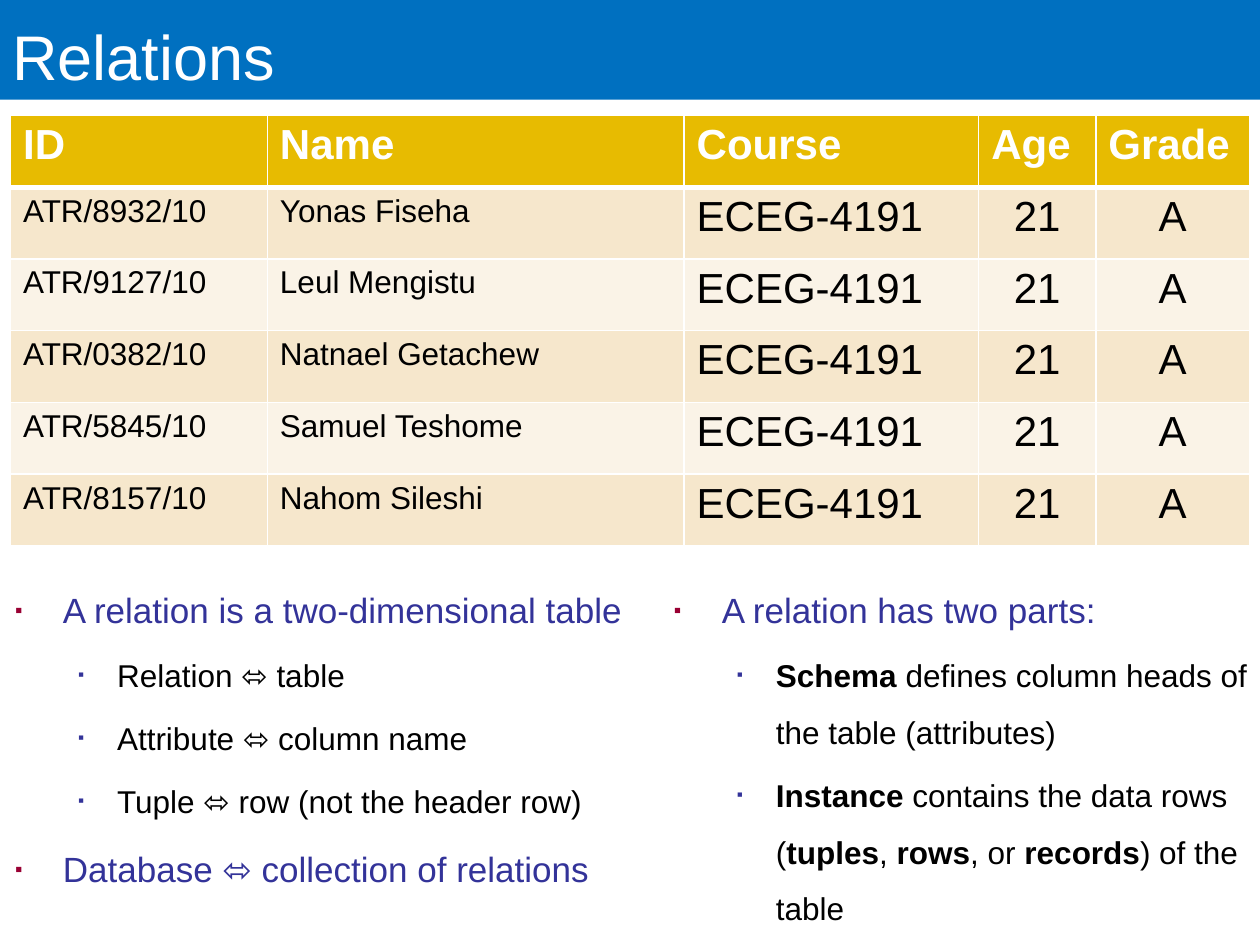
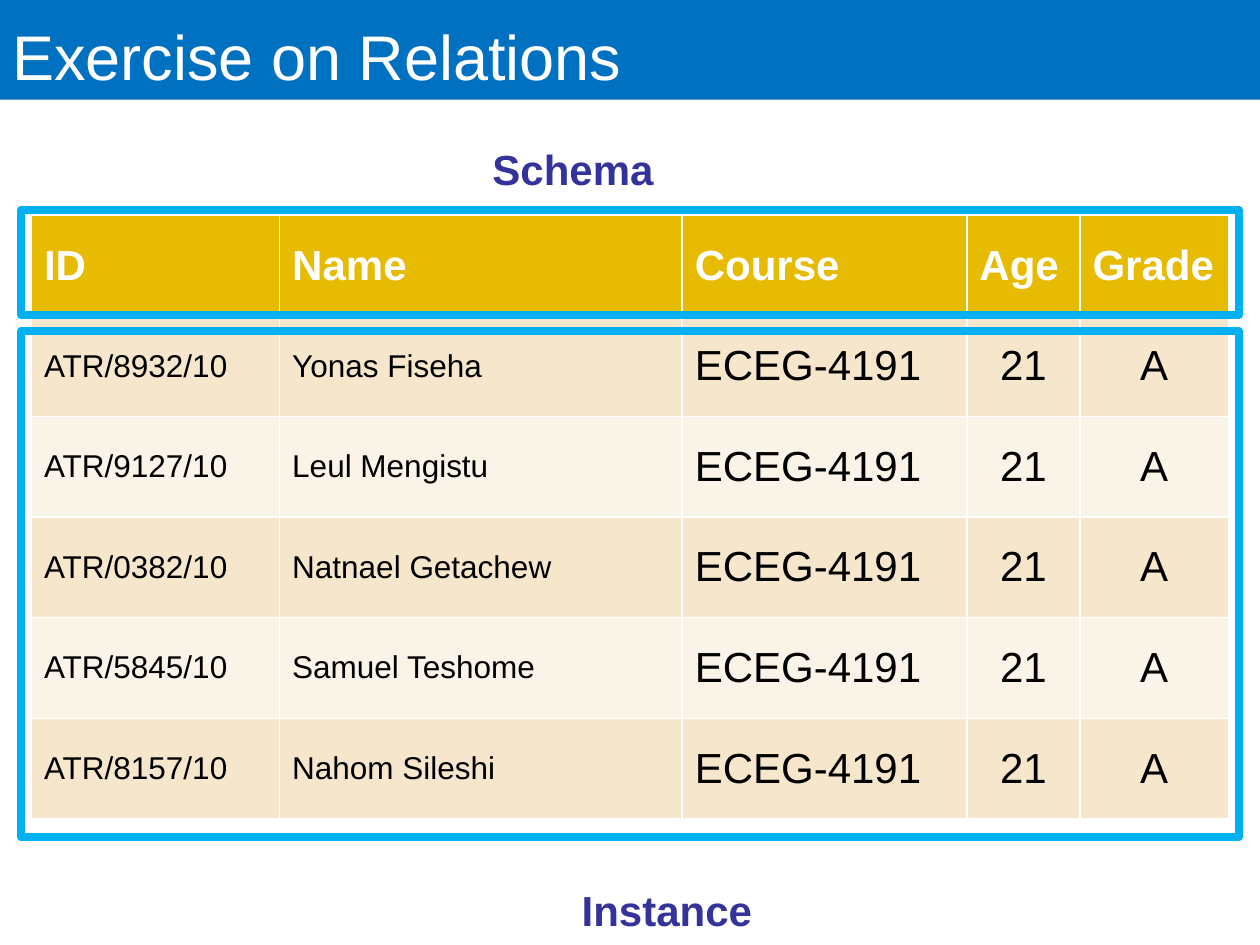
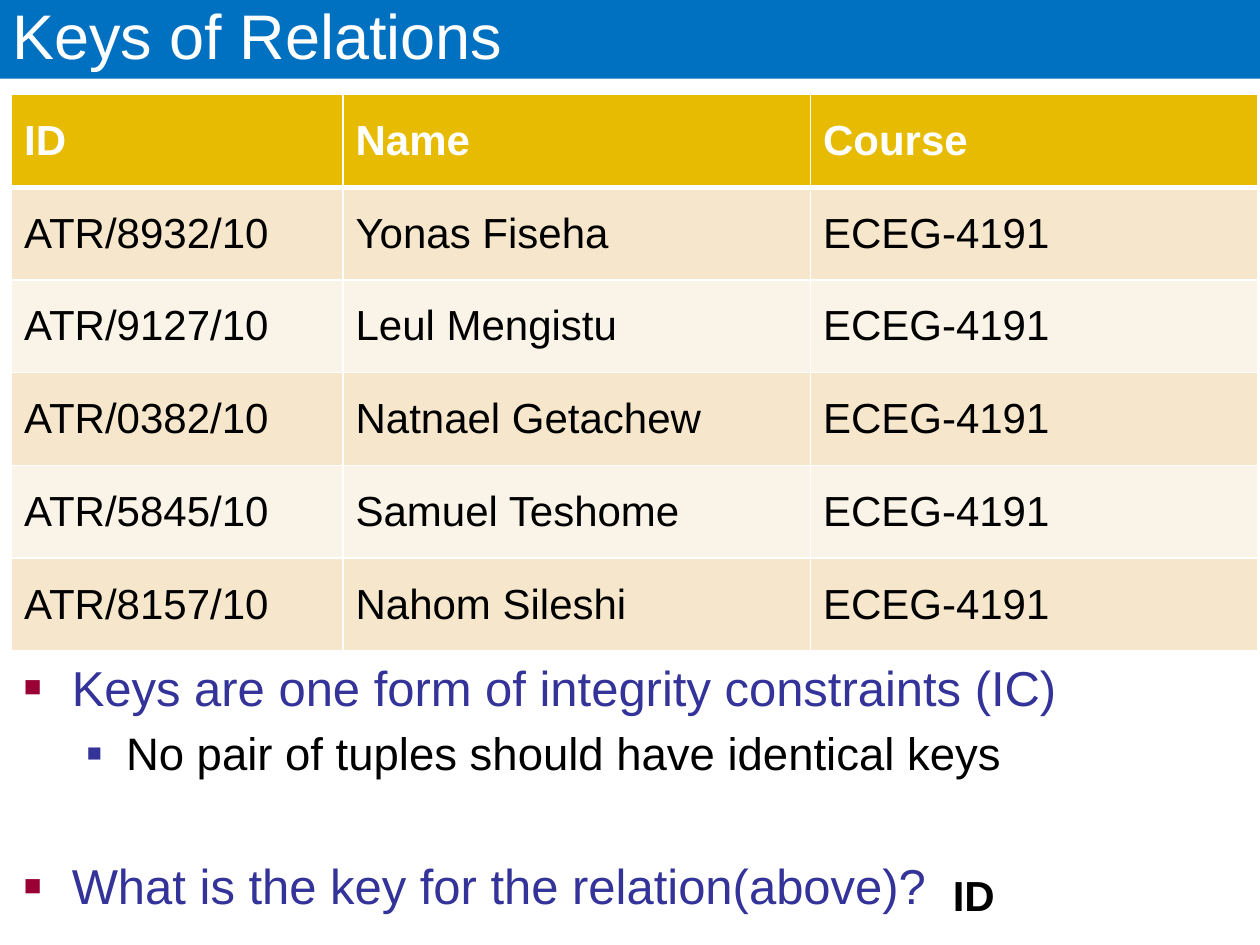
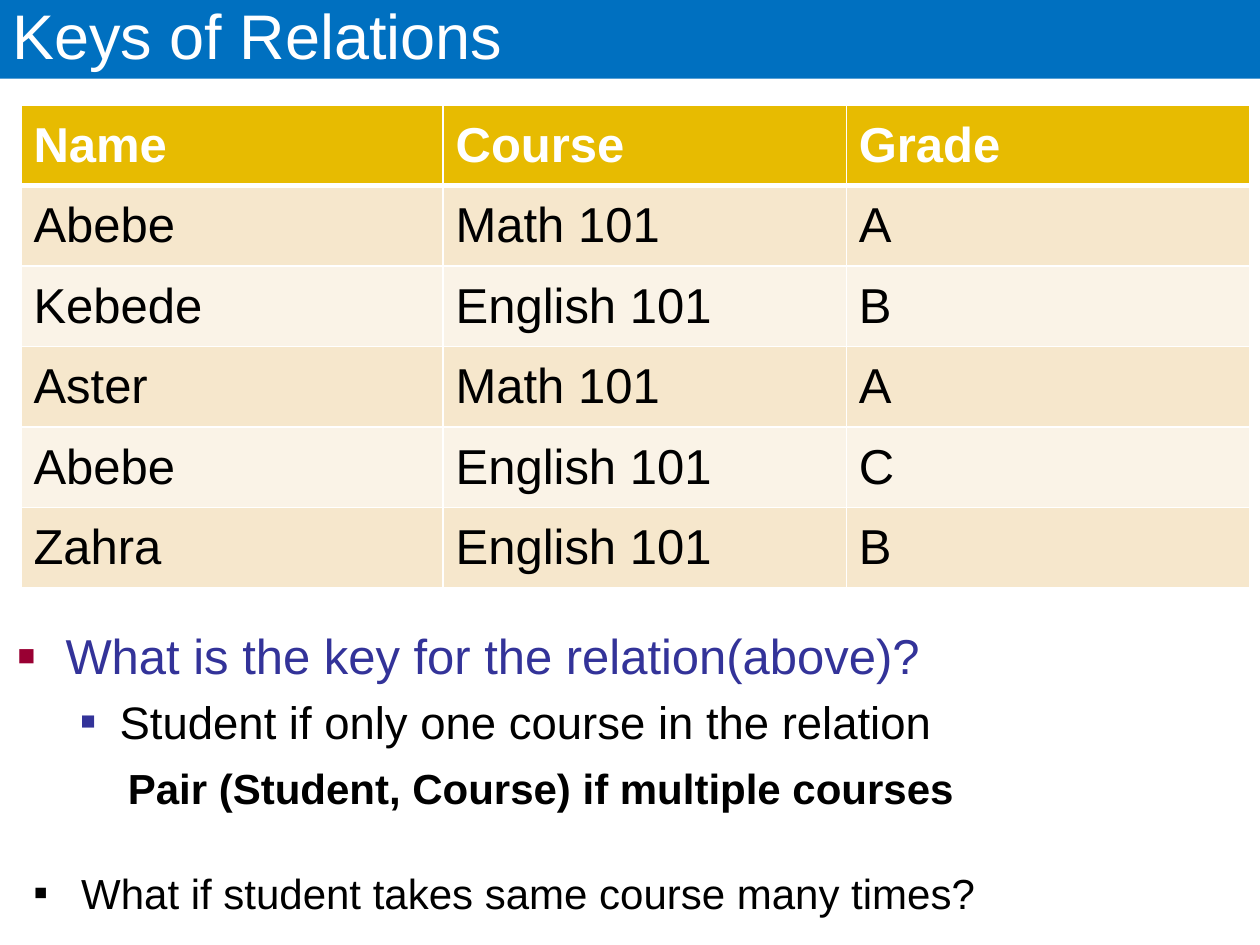
from dataclasses import dataclass

from lxml import etree
from pptx import Presentation
from pptx import util as u
from pptx.dml import color
from pptx.enum import shapes, text
from pptx.oxml import ns

COLUMNS, ROWS = 120, 90  # grid that every position and size is given in
CENTER = text.PP_ALIGN.CENTER
MIDDLE, TOP = text.MSO_ANCHOR.MIDDLE, text.MSO_ANCHOR.TOP


@dataclass(frozen=True)
class Theme:
    font: str = "Arial"
    white: str = "FFFFFF"
    ink: str = "000000"
    band: str = "0070C0"
    header: str = "E7BB01"
    stripes: tuple = ("F6E7CC", "FAF3E7")
    topic: str = "333399"
    topic_bullet: str = "990033"
    frame: str = "00B0F0"
    title_size: int = 36
    large: int = 28
    detail: int = 26
    medium: int = 24
    small: int = 20
    tiny: int = 18


THEME = Theme()


def rgb(value):
    return color.RGBColor.from_string(value)


def add_child(parent, tag, **attributes):
    child = etree.SubElement(parent, ns.qn(tag))
    for name, value in attributes.items():
        child.set(name, str(value))
    return child


def write(frame, content, size=THEME.medium, ink=THEME.ink, bold=False, align=None,
          level=0, margin=0, hanging=0, line=None, before=0,
          bullet=None, bullet_ink=None, bullet_size=100):
    """Add one paragraph; parts between ** marks switch bold on and off."""
    paragraph = frame.add_paragraph() if frame.text else frame.paragraphs[0]
    paragraph.level = level
    paragraph.alignment = align
    paragraph.line_spacing = line
    paragraph.space_before = u.Pt(before)
    for index, part in enumerate(content.split("**")):
        if part:
            run = paragraph.add_run()
            run.text = part
            run.font.name, run.font.size = THEME.font, u.Pt(size)
            run.font.bold = bold or index % 2 == 1
            run.font.color.rgb = rgb(ink)

    # Indents and bullet
    properties = paragraph._p.get_or_add_pPr()
    properties.set("marL", str(u.Inches(margin)))
    properties.set("indent", str(u.Inches(-hanging)))
    if bullet:
        add_child(add_child(properties, "a:buClr"), "a:srgbClr", val=bullet_ink or ink)
        add_child(properties, "a:buSzPct", val=bullet_size * 1000)
        add_child(properties, "a:buFont", typeface=THEME.font)
        add_child(properties, "a:buChar", char=bullet)
    else:
        add_child(properties, "a:buNone")


class Deck:
    def __init__(self, theme):
        self.theme = theme
        self.presentation = Presentation()
        self.presentation.slide_width = u.Inches(10)
        self.presentation.slide_height = u.Inches(7.5)
        self.slide = None

    def place(self, left, top, width, height):
        column = self.presentation.slide_width / COLUMNS
        row = self.presentation.slide_height / ROWS
        return [round(n) for n in (left * column, top * row, width * column, height * row)]

    def rectangle(self, area, fill=None, line=None):
        box = self.slide.shapes.add_shape(shapes.MSO_SHAPE.RECTANGLE, *self.place(*area))
        box.shadow.inherit = False
        if fill:
            box.fill.solid()
            box.fill.fore_color.rgb = rgb(fill)
        else:
            box.fill.background()
        if line:
            box.line.color.rgb, box.line.width = rgb(line), u.Pt(4.5)
        else:
            box.line.fill.background()
        return box

    def new_slide(self, title, band_rows):
        self.slide = self.presentation.slides.add_slide(self.presentation.slide_layouts[6])
        band = self.rectangle((0, 0, COLUMNS, band_rows), fill=self.theme.band)
        band.text_frame.vertical_anchor = text.MSO_ANCHOR.BOTTOM
        write(band.text_frame, title, size=self.theme.title_size, ink=self.theme.white,
              align=text.PP_ALIGN.LEFT)

    def text_box(self, area, flush_right=True, wrap=True):
        frame = self.slide.shapes.add_textbox(*self.place(*area)).text_frame
        frame.word_wrap = wrap
        if flush_right:
            frame.margin_right = 0
        return frame

    def note(self, area, content, wrap=True, **style):
        write(self.text_box(area, flush_right=False, wrap=wrap), content, **style)

    def label(self, area, content):
        write(self.text_box(area), content, ink=self.theme.topic, bold=True,
              margin=0.06, line=1.5, before=4.8)

    def outline(self, area, points, sizes, bullet, line=None):
        """Write (level, content[, extra gap]) points as a two-level bullet list."""
        frame = self.text_box(area)
        levels = (
            dict(ink=self.theme.topic, bullet_ink=self.theme.topic_bullet,
                 bullet_size=60, margin=0.38, hanging=0.38),
            dict(ink=self.theme.ink, bullet_ink=self.theme.topic,
                 bullet_size=55, margin=0.81, hanging=0.31),
        )
        for level, content, *gap in points:
            write(frame, content, size=sizes[level], level=level, bullet=bullet, line=line,
                  before=0.2 * sizes[level] + sum(gap), **levels[level])

    def borders(self, cell, top, bottom):
        properties = cell._tc.get_or_add_tcPr()
        sides = (("L", 1), ("R", 1), ("T", top), ("B", bottom))
        for index, (side, points) in enumerate(sides):
            edge = add_child(properties, f"a:ln{side}", w=u.Pt(points))
            add_child(add_child(edge, "a:solidFill"), "a:srgbClr", val=self.theme.white)
            properties.insert(index, edge)

    def table(self, area, records, widths, sizes, anchor=MIDDLE, centered=(),
              header_size=THEME.medium):
        left, top, width, height = self.place(*area)
        grid = self.slide.shapes.add_table(
            len(records), len(widths), left, top, width, height).table
        grid.horz_banding = False
        for column, share in zip(grid.columns, widths):
            column.width = round(width * share / sum(widths))
        for r, record in enumerate(records):
            grid.rows[r].height = round(height / len(records))
            for c, value in enumerate(record):
                cell = grid.cell(r, c)
                cell.vertical_anchor = anchor
                cell.fill.solid()
                if r == 0:
                    cell.fill.fore_color.rgb = rgb(self.theme.header)
                    write(cell.text_frame, value, size=header_size,
                          ink=self.theme.white, bold=True)
                else:
                    cell.fill.fore_color.rgb = rgb(self.theme.stripes[(r - 1) % 2])
                    write(cell.text_frame, value, size=sizes[c],
                          align=CENTER if c in centered else None)
                self.borders(cell, top=3 if r == 1 else 1, bottom=3 if r == 0 else 1)


# Content shared by several slides
STUDENTS = [("ID", "Name", "Course", "Age", "Grade")] + [
    (f"ATR/{number}/10", name, "ECEG-4191", "21", "A")
    for number, name in (
        ("8932", "Yonas Fiseha"),
        ("9127", "Leul Mengistu"),
        ("0382", "Natnael Getachew"),
        ("5845", "Samuel Teshome"),
        ("8157", "Nahom Sileshi"),
    )
]
STUDENT_STYLE = dict(
    widths=(2.04, 3.31, 2.34, 0.93, 1.22), centered=(3, 4),
    sizes=(THEME.tiny, THEME.tiny, THEME.medium, THEME.medium, THEME.medium))
ENROLMENTS = [
    ("Name", "Course", "Grade"),
    ("Abebe", "Math 101", "A"),
    ("Kebede", "English 101", "B"),
    ("Aster", "Math 101", "A"),
    ("Abebe", "English 101", "C"),
    ("Zahra", "English 101", "B"),
]
KEY_QUESTION = "What is the key for the relation(above)?"
TALL_BAND, SHORT_BAND = 9.5, 7.5


def relations(deck):
    deck.new_slide("Relations", TALL_BAND)
    style = dict(sizes=(THEME.small, THEME.tiny), bullet="▪", line=1.5)
    deck.outline((0.25, 53.5, 59.75, 34.5), [
        (0, "A relation is a two-dimensional table"),
        (1, "Relation ⬄ table"),
        (1, "Attribute ⬄ column name"),
        (1, "Tuple ⬄ row (not the header row)"),
        (0, "Database ⬄ collection of relations"),
    ], **style)
    deck.table((1, 11, 118, 41), STUDENTS, anchor=TOP, **STUDENT_STYLE)
    deck.outline((63, 53.5, 56, 34.5), [
        (0, "A relation has two parts:"),
        (1, "**Schema** defines column heads of the table (attributes)"),
        (1, "**Instance** contains the data rows "
            "(**tuples**, **rows**, or **records**) of the table"),
    ], **style)


def exercise(deck):
    deck.new_slide("Exercise on Relations", TALL_BAND)
    deck.table((3, 20.5, 114, 57.5), STUDENTS, **STUDENT_STYLE)
    deck.label((45, 10.7, 21, 6.25), "Schema")
    deck.label((53.5, 81.25, 21, 7.75), "Instance")
    for top, height in ((20, 10), (31.5, 48.25)):  # schema, instance
        deck.rectangle((2, top, 116, height), line=THEME.frame)


def simple_key(deck):
    deck.new_slide("Keys of Relations", SHORT_BAND)
    deck.outline((1.1, 62, 118.7, 27), [
        (0, "Keys are one form of integrity constraints (IC)"),
        (1, "No pair of tuples should have identical keys"),
        (0, KEY_QUESTION, 37.8),
    ], sizes=(THEME.large, THEME.detail), bullet="■")
    deck.table((1.1, 9, 118.7, 53), [student[:3] for student in STUDENTS],
               widths=(2.63, 3.71, 3.55), sizes=[THEME.medium] * 3)
    deck.note((89.5, 82.2, 6.5, 6), "ID", wrap=False, bold=True, align=CENTER)


def compound_key(deck):
    deck.new_slide("Keys of Relations", SHORT_BAND)
    deck.outline((0.5, 59, 118.7, 14), [
        (0, KEY_QUESTION),
        (1, "Student if only one course in the relation"),
    ], sizes=(THEME.large, THEME.detail), bullet="■")
    deck.table((2, 10, 117, 46), ENROLMENTS, widths=(3.35, 3.2, 3.2),
               sizes=[THEME.large] * 3, header_size=THEME.large)
    deck.note((5, 72, 98, 6), "Pair (Student, Course) if multiple courses",
              bold=True, level=1, margin=0.5)
    deck.note((2, 82, 114, 6), "What if student takes same course many times?",
              bullet="▪", margin=0.38, hanging=0.38)


def main():
    deck = Deck(THEME)
    for build in (relations, exercise, simple_key, compound_key):
        build(deck)
    deck.presentation.save("out.pptx")


if __name__ == "__main__":
    main()
